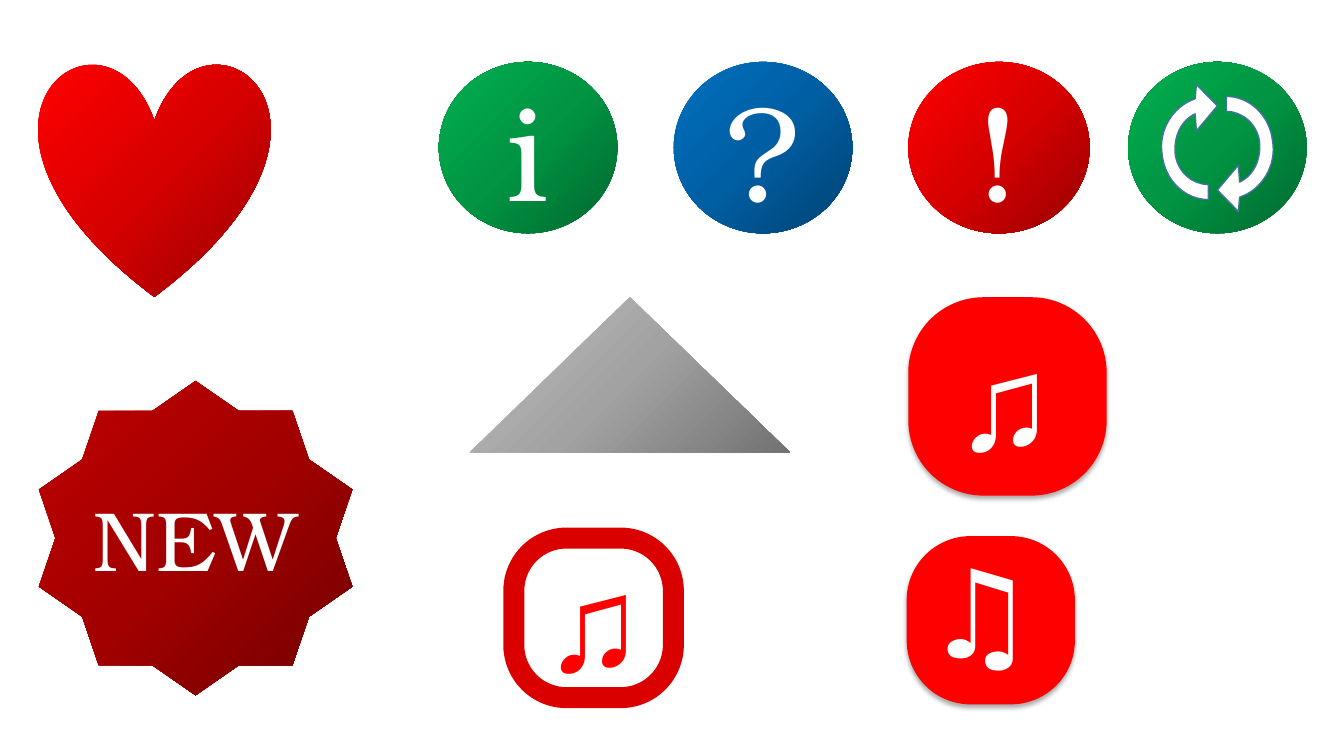
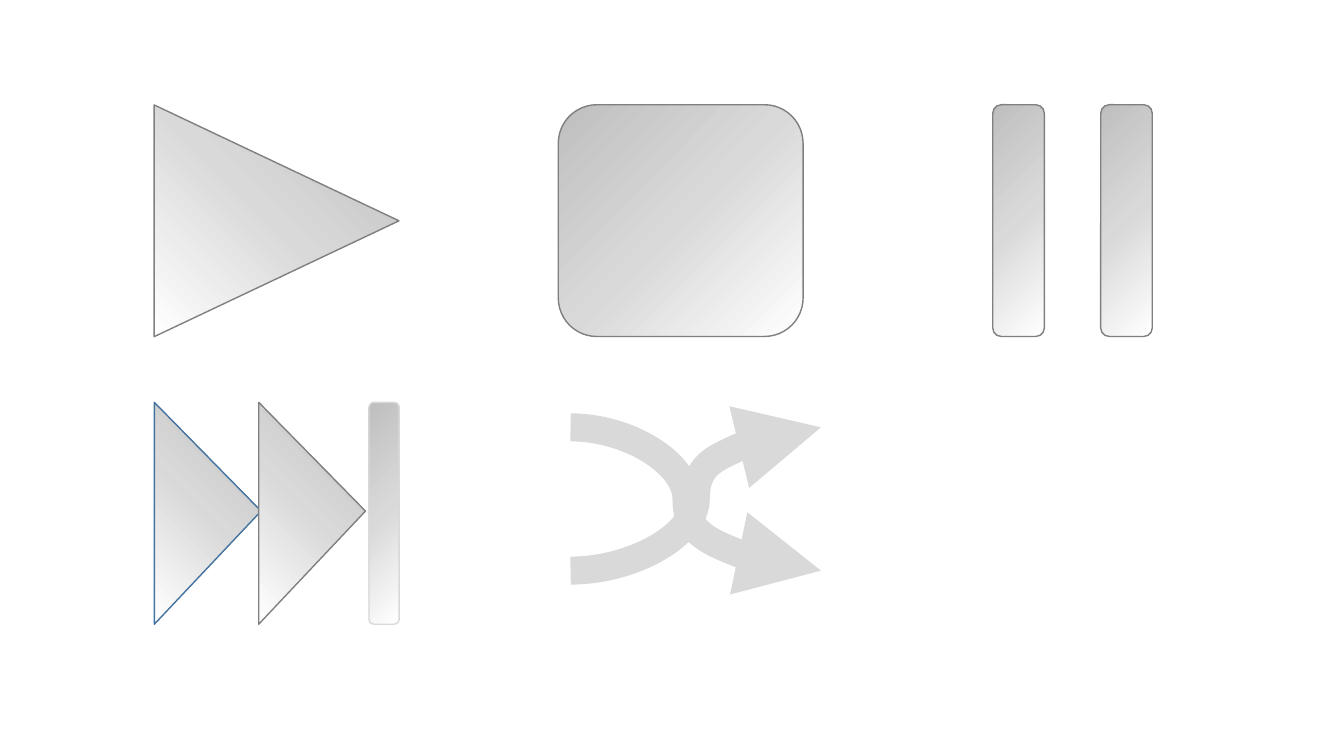
from lxml import etree
from pptx import Presentation
from pptx.dml.color import RGBColor
from pptx.enum.shapes import MSO_CONNECTOR, MSO_SHAPE
from pptx.enum.text import MSO_ANCHOR, PP_ALIGN
from pptx.oxml.ns import qn
from pptx.util import Cm, Pt

OVAL, HEART, STAR = MSO_SHAPE.OVAL, MSO_SHAPE.HEART, MSO_SHAPE.STAR_10_POINT
TRIANGLE, ROUNDED = MSO_SHAPE.ISOSCELES_TRIANGLE, MSO_SHAPE.ROUNDED_RECTANGLE
CURVE = MSO_CONNECTOR.CURVE
MIDDLE = MSO_ANCHOR.MIDDLE
CENTER, LEFT = PP_ALIGN.CENTER, PP_ALIGN.LEFT

COLORS = {"white": "FFFFFF", "red": "FF0000", "frame": "DB0000", "black": "000000",
          "grey": "808080", "silver": "D9D9D9", "blue": "43739E"}
# Three stops each; "linear" runs diagonally, "circle" spreads from the lower right corner
GRADIENTS = {
    "green": ("linear", "00682F", "009443", "00B050"),
    "azure": ("circle", "004272", "005EA2", "0070C0"),
    "scarlet": ("circle", "970000", "D70000", "FF0000"),
    "crimson": ("circle", "720000", "A20000", "C00000"),
    "stone": ("circle", "727272", "A2A2A2", "C0C0C0"),
    "button": ("linear", "FFFFFF", "D9D9D9", "BFBFBF"),
}
SERIF, SYMBOL, SANS = "TeX Gyre Bonum", "Times New Roman", "Montserrat"
NOTE = "\u266b"


def style(shape, fill, line=None, width=1):
    """Give a shape its gradient or plain fill, its outline and no shadow."""
    shape.shadow.inherit = False
    if fill in GRADIENTS:
        kind, *stops = GRADIENTS[fill]
        shape.fill.gradient()
        grad = shape._element.spPr.find(qn("a:gradFill"))
        for child in list(grad):
            grad.remove(child)
        grad.set("rotWithShape", "1")
        stop_list = etree.SubElement(grad, qn("a:gsLst"))
        for place, color in zip((0, 50000, 100000), stops):
            stop = etree.SubElement(stop_list, qn("a:gs"), pos=str(place))
            etree.SubElement(stop, qn("a:srgbClr"), val=color)
        if kind == "linear":
            etree.SubElement(grad, qn("a:lin"), ang="13500000", scaled="1")
        else:
            spread = etree.SubElement(grad, qn("a:path"), path="circle")
            etree.SubElement(spread, qn("a:fillToRect"), l="100000", t="100000")
    else:
        shape.fill.solid()
        shape.fill.fore_color.rgb = RGBColor.from_string(COLORS[fill])
    if line:
        shape.line.color.rgb = RGBColor.from_string(COLORS[line])
        shape.line.width = Pt(width)
    else:
        shape.line.fill.background()


def write(shape, text, size, font, color="white", align=CENTER,
          insets=(0.25, 0.13, 0.25, 0.13), wrap=True):
    """Write one line of text in the middle of a shape."""
    frame = shape.text_frame
    frame.word_wrap = wrap
    frame.vertical_anchor = MIDDLE
    (frame.margin_left, frame.margin_top,
     frame.margin_right, frame.margin_bottom) = [Cm(inset) for inset in insets]
    para = frame.paragraphs[0]
    para.alignment = align
    span = para.add_run()
    span.text = text
    span.font.size = Pt(size)
    span.font.name = font
    span.font.color.rgb = RGBColor.from_string(COLORS[color])


deck = Presentation()
deck.slide_width, deck.slide_height = Cm(33.87), Cm(19.05)
blank = deck.slide_layouts[6]

# Slide 1: round badges
page = deck.slides.add_slide(blank)
for left, width, fill, sign in [(11.06, 4.5, "green", "i"), (16.98, 4.5, "azure", "?"),
                                (22.89, 4.57, "scarlet", "!"), (28.43, 4.5, "green", None)]:
    badge = page.shapes.add_shape(OVAL, Cm(left), Cm(1.56), Cm(width), Cm(4.32))
    style(badge, fill)
    if sign:
        write(badge, sign, 96, SERIF)

# Heart, star and triangle
for kind, left, top, width, height, fill, label in [
        (HEART, 0.98, 1.56, 5.82, 5.92, "scarlet", None),
        (STAR, 0.98, 9.6, 7.9, 7.92, "crimson", "NEW"),
        (TRIANGLE, 11.84, 7.49, 8.07, 3.91, "stone", None)]:
    figure = page.shapes.add_shape(kind, Cm(left), Cm(top), Cm(width), Cm(height))
    style(figure, fill)
    if label:
        write(figure, label, 60, SERIF, wrap=False)

# Music buttons: two raised red ones and a framed white one
for left, top, side, corner, raised, size, font, align, insets in [
        (22.89, 7.49, 5, 0.38, True, 96, SYMBOL, LEFT, (0.61, 0.13, 0.25, 0.13)),
        (22.85, 13.51, 4.24, 0.38, True, 88, SANS, LEFT, (0, 0, 0.25, 0.55)),
        (12.95, 13.56, 4.02, 0.33, False, 96, SYMBOL, CENTER, (0, 0.13, 0, 0.13))]:
    button = page.shapes.add_shape(ROUNDED, Cm(left), Cm(top), Cm(side), Cm(side))
    button.adjustments[0] = corner
    if raised:
        style(button, "red")
        effects = button._element.spPr.find(qn("a:effectLst"))
        shadow = etree.SubElement(effects, qn("a:outerShdw"), blurRad=str(Pt(3.5)),
                                  dist=str(Pt(2.2)), dir="5400000", rotWithShape="0")
        tint = etree.SubElement(shadow, qn("a:srgbClr"), val=COLORS["black"])
        etree.SubElement(tint, qn("a:alpha"), val="32000")
    else:
        style(button, "white", "frame", 15)
    write(button, NOTE, size, font, "white" if raised else "red", align, insets)

# Refresh arrows: the second is the first turned half round the badge centre
# A step of one point is a straight edge, a step of three is a curve
steps = [
    [(30.45, 5.03)],
    [(29.87, 5.03), (29.36, 4.55), (29.29, 3.91)],
    [(29.18, 3.28), (29.57, 2.67), (30.12, 2.49)],
    [(30.15, 2.13)], [(30.68, 2.67)], [(30.15, 3.3)], [(30.12, 2.87)],
    [(29.74, 3.05), (29.57, 3.48), (29.62, 3.91)],
    [(29.69, 4.34), (30.05, 4.65), (30.45, 4.65)],
]
turned = [[(2 * 30.68 - x, 2 * 3.73 - y) for x, y in step] for step in steps]
for outline in (steps, turned):
    corners = [(Cm(x), Cm(y)) for x, y in (step[-1] for step in outline)]
    builder = page.shapes.build_freeform(*corners[0])
    builder.add_line_segments(corners[1:], close=True)
    arrow = builder.convert_to_shape()
    edges = list(arrow._element.spPr.iter(qn("a:lnTo")))
    for edge, step in zip(edges, outline[1:]):
        if len(step) == 3:
            edge.tag = qn("a:cubicBezTo")
            for place, (x, y) in enumerate(step[:2]):
                control = etree.Element(qn("a:pt"), x=str(Cm(x) - arrow.left),
                                        y=str(Cm(y) - arrow.top))
                edge.insert(place, control)
    style(arrow, "white", "blue")

# Slide 2: player buttons, in the order play, stop, pause, skip
page = deck.slides.add_slide(blank)
for kind, left, top, width, height, line in [
        (TRIANGLE, 4.05, 2.48, 5.84, 6.17, "grey"),
        (ROUNDED, 14.07, 2.64, 6.17, 5.84, "grey"),
        (ROUNDED, 25.02, 2.64, 1.3, 5.84, "grey"),
        (ROUNDED, 27.74, 2.64, 1.3, 5.84, "grey"),
        (TRIANGLE, 2.44, 11.59, 5.59, 2.69, "blue"),
        (ROUNDED, 9.3, 10.14, 0.76, 5.59, "silver"),
        (TRIANGLE, 5.07, 11.59, 5.59, 2.69, "grey")]:
    control = page.shapes.add_shape(kind, Cm(left), Cm(top), Cm(width), Cm(height))
    style(control, "button", line)
    if kind == TRIANGLE:
        control.rotation = 90
        control.adjustments[0] = 0.5 if line == "grey" and width > 5.6 else 0.49

# Shuffle arrows
for begin, end, bend in [(10.77, 14.38, 46300), (14.38, 10.77, 50000)]:
    arrow = page.shapes.add_connector(CURVE, Cm(14.38), Cm(begin), Cm(20.69), Cm(end))
    arrow.line.color.rgb = RGBColor.from_string(COLORS["silver"])
    arrow.line.width = Pt(20)
    properties = arrow._element.spPr
    guides = properties.find(qn("a:prstGeom")).find(qn("a:avLst"))
    etree.SubElement(guides, qn("a:gd"), name="adj1", fmla=f"val {bend}")
    etree.SubElement(properties.find(qn("a:ln")), qn("a:tailEnd"), type="triangle")
    etree.SubElement(properties, qn("a:effectLst"))

deck.save("out.pptx")
